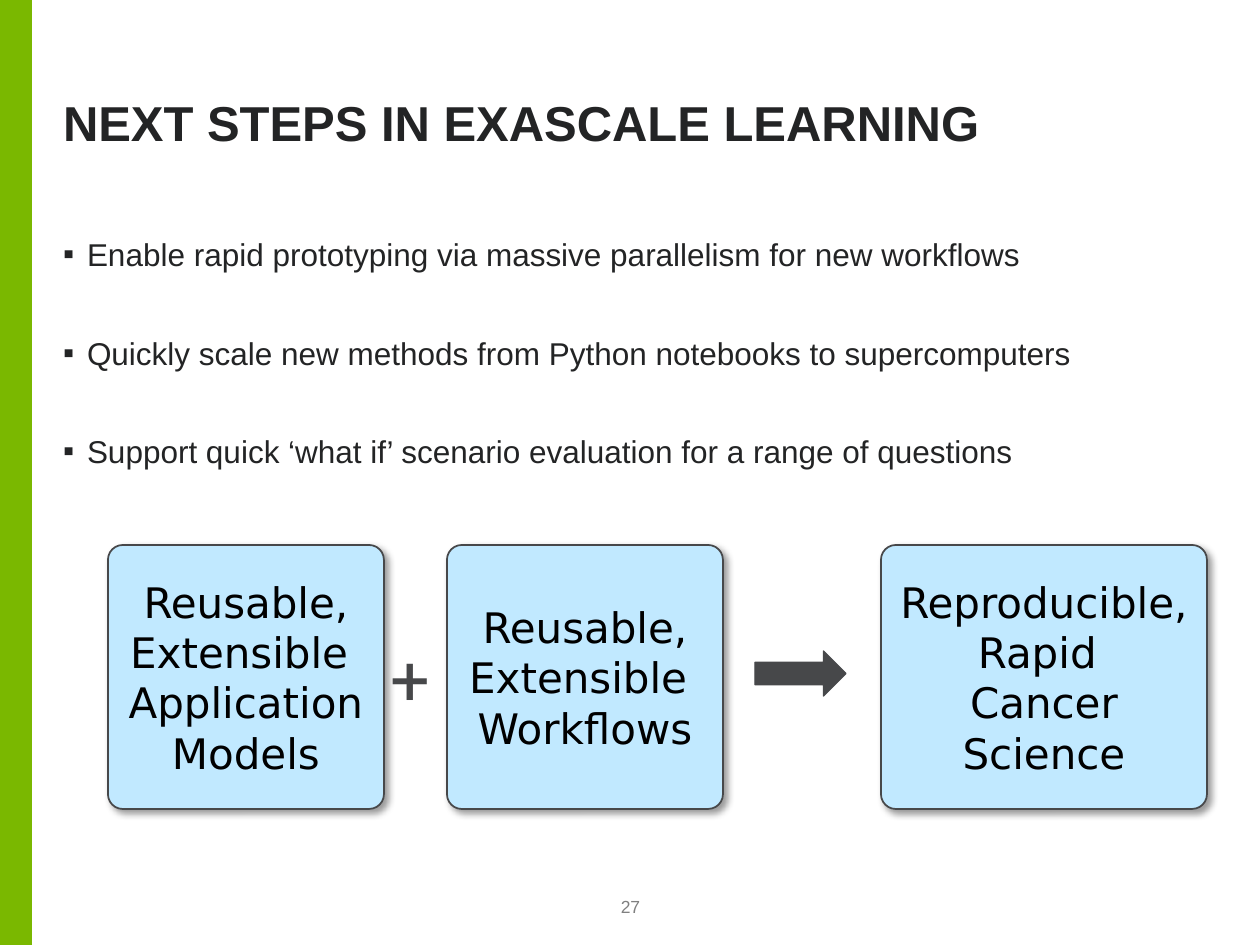
from lxml import etree
from pptx import Presentation
from pptx.dml.color import RGBColor
from pptx.enum.shapes import MSO_SHAPE
from pptx.enum.text import MSO_ANCHOR, PP_ALIGN
from pptx.oxml.ns import qn
from pptx.util import Pt

EMU_PER_PX = 914400 / 126
COLORS = {
    "green": "7AB800", "text": "232425", "gray": "808080",
    "blue": "C1E9FF", "dark": "47484A", "black": "000000",
}


def px(*lengths):
    return [round(length * EMU_PER_PX) for length in lengths]


def style_text(paragraph, font_name, size, color, bold=False):
    for run in paragraph.runs:
        run.font.name = font_name
        run.font.size = Pt(size)
        run.font.bold = bold
        run.font.color.rgb = RGBColor.from_string(COLORS[color])


presentation = Presentation()
presentation.slide_width, presentation.slide_height = px(1260, 945)
slide = presentation.slides.add_slide(presentation.slide_layouts[5])
shapes = slide.shapes

# Green side band
band = shapes.add_shape(MSO_SHAPE.RECTANGLE, *px(0, 0, 32, 945))
band.shadow.inherit = False
band.fill.solid()
band.fill.fore_color.rgb = RGBColor.from_string(COLORS["green"])
band.line.fill.background()

# Title
title = shapes.title
title.left, title.top, title.width, title.height = px(63, 38, 1154, 115)
frame = title.text_frame
frame.text = "NEXT STEPS IN EXASCALE LEARNING"
frame.margin_left = frame.margin_right = frame.margin_top = frame.margin_bottom = 0
frame.vertical_anchor = MSO_ANCHOR.BOTTOM
frame.paragraphs[0].alignment = PP_ALIGN.LEFT
frame.paragraphs[0].line_spacing = 0.95
style_text(frame.paragraphs[0], "Arial", 28, "text", bold=True)

# Bullet list
goals = [
    "Enable rapid prototyping via massive parallelism for new workflows",
    "Quickly scale new methods from Python notebooks to supercomputers",
    "Support quick ‘what if’ scenario evaluation for a range of questions",
]
frame = shapes.add_textbox(*px(63, 235, 1154, 260)).text_frame
frame.word_wrap = True
frame.margin_left = frame.margin_right = frame.margin_top = 0
frame.text = "\n".join(goals)
indent = px(24)[0]
for index, paragraph in enumerate(frame.paragraphs):
    properties = paragraph._p.get_or_add_pPr()
    properties.set("marL", str(indent))
    properties.set("indent", str(-indent))
    etree.SubElement(properties, qn("a:buFont"), typeface="Arial")
    etree.SubElement(properties, qn("a:buChar"), char="▪")
    paragraph.space_before = Pt(34.7 if index else 0)
    style_text(paragraph, "Arial", 18, "text")

# Slide number
frame = shapes.add_textbox(*px(599, 892, 63, 25)).text_frame
frame.margin_left = frame.margin_right = frame.margin_bottom = 0
frame.vertical_anchor = MSO_ANCHOR.BOTTOM
frame.text = "27"
frame.paragraphs[0].alignment = PP_ALIGN.CENTER
style_text(frame.paragraphs[0], "Arial", 10, "gray")

# Boxes of the equation, each with a soft shadow
boxes = [
    (108, 276, "Reusable,\nExtensible \nApplication\vModels"),
    (447, 276, "Reusable,\nExtensible \nWorkflows"),
    (881, 326, "Reproducible,\nRapid \nCancer\vScience"),
]
for left, width, label in boxes:
    box = shapes.add_shape(MSO_SHAPE.ROUNDED_RECTANGLE, *px(left, 545, width, 264))
    box.adjustments[0] = 0.056
    box.fill.solid()
    box.fill.fore_color.rgb = RGBColor.from_string(COLORS["blue"])
    box.line.color.rgb = RGBColor.from_string(COLORS["dark"])
    box.line.width = Pt(1)
    box.shadow.inherit = False
    effects = box._element.spPr.find(qn("a:effectLst"))
    shadow = etree.SubElement(effects, qn("a:outerShdw"), blurRad=str(Pt(4)),
                              dist=str(Pt(3)), dir="2700000", rotWithShape="0")
    shadow_color = etree.SubElement(shadow, qn("a:srgbClr"), val=COLORS["black"])
    etree.SubElement(shadow_color, qn("a:alpha"), val="40000")
    box.text_frame.word_wrap = True
    box.text_frame.vertical_anchor = MSO_ANCHOR.MIDDLE
    box.text_frame.text = label
    for paragraph in box.text_frame.paragraphs:
        paragraph.alignment = PP_ALIGN.CENTER
        style_text(paragraph, "DejaVu Sans", 24, "black")

# Plus sign and arrow between the boxes
frame = shapes.add_textbox(*px(378, 629, 68, 97)).text_frame
frame.word_wrap = False
frame.text = "+"
style_text(frame.paragraphs[0], "Roboto", 40, "dark")

arrow = shapes.add_shape(MSO_SHAPE.RIGHT_ARROW, *px(755, 651, 91, 45))
arrow.shadow.inherit = False
arrow.fill.solid()
arrow.fill.fore_color.rgb = RGBColor.from_string(COLORS["dark"])
arrow.line.color.rgb = RGBColor.from_string(COLORS["dark"])
arrow.line.width = Pt(0.75)

presentation.save("out.pptx")
